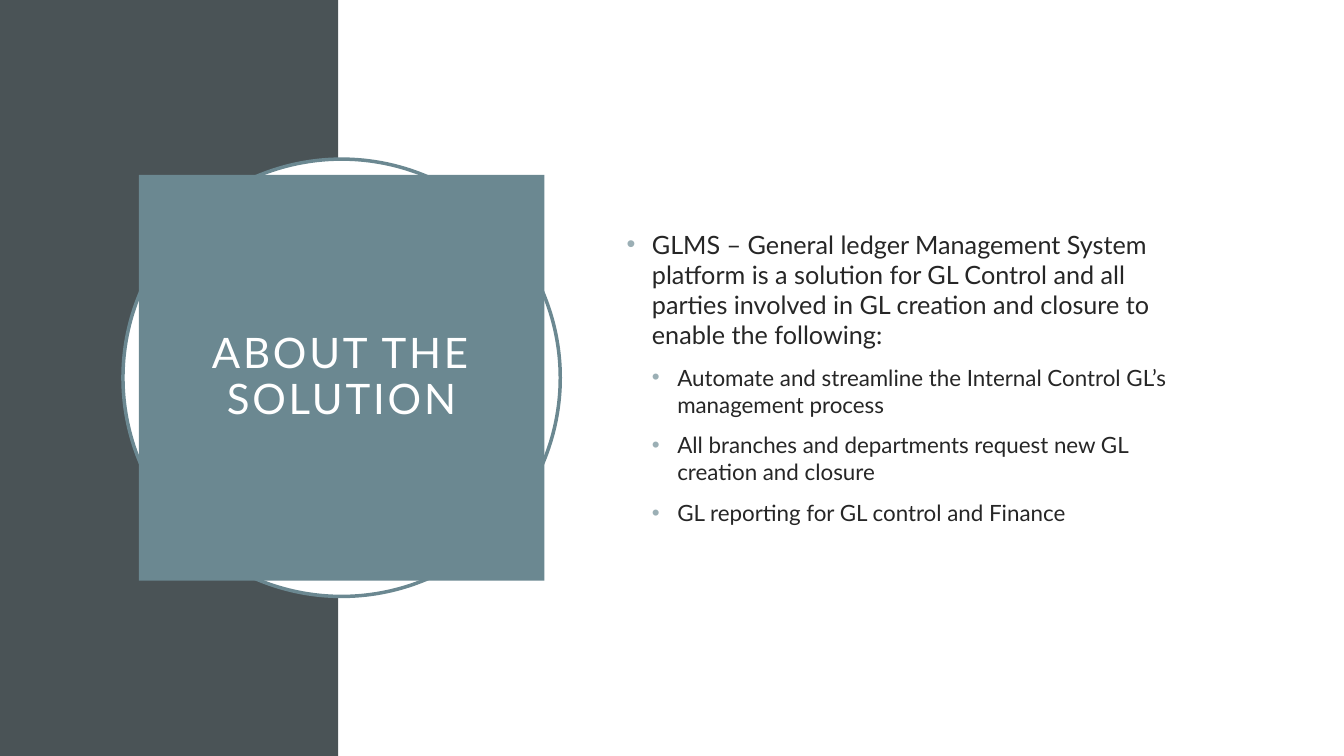
from lxml import etree
from pptx import Presentation
from pptx.dml.color import RGBColor
from pptx.enum.shapes import MSO_SHAPE
from pptx.enum.text import MSO_ANCHOR, PP_ALIGN
from pptx.oxml.ns import qn
from pptx.util import Cm, Pt

RECT, OVAL = MSO_SHAPE.RECTANGLE, MSO_SHAPE.OVAL
MIDDLE, CENTER = MSO_ANCHOR.MIDDLE, PP_ALIGN.CENTER

COLORS = {
    "panel": "4A5356",
    "accent": "6B8891",
    "bullet": "9BAFB5",
    "text": "262626",
    "white": "FFFFFF",
}
FONT = "Lato"
SLIDE_W, SLIDE_H = 33.87, 19.05
PANEL_W = 8.53
BADGE_BOX = (3.1, 4.01, 11.02, 11.02)
BODY_BOX = (15.54, 3.89, 14.78, 11.25)
BULLET_INDENT = 0.64
LEVEL_SIZES = (18, 16)

TITLE = "ABOUT THE SOLUTION"
BULLETS = [
    (0, "GLMS – General ledger Management System platform is a solution for "
        "GL Control and all parties involved in GL creation and closure to "
        "enable the following:"),
    (1, "Automate and streamline the Internal Control GL’s management process"),
    (1, "All branches and departments request new GL creation and closure"),
    (1, "GL reporting for GL control and Finance"),
]


def rgb(name):
    return RGBColor.from_string(COLORS[name])


def set_attrs(obj, values):
    for name, value in values.items():
        setattr(obj, name, value)


def add_run(p, text, size, color):
    r = p.add_run()
    r.text = text
    set_attrs(r.font, {"name": FONT, "size": Pt(size)})
    r.font.color.rgb = rgb(color)
    return r


def add_filled(slide, kind, box, fill, line=None):
    sp = slide.shapes.add_shape(kind, *map(Cm, box))
    sp.shadow.inherit = False
    sp.fill.solid()
    sp.fill.fore_color.rgb = rgb(fill)
    if line:
        sp.line.color.rgb = rgb(line)
        sp.line.width = Pt(2.5)
    else:
        sp.line.fill.background()
    return sp


def add_bullet(p, level):
    """Give the paragraph a hanging indent and a coloured bullet."""
    pPr = p._p.get_or_add_pPr()
    pPr.set("marL", str(Cm(BULLET_INDENT * (level + 1))))
    pPr.set("indent", str(-Cm(BULLET_INDENT)))
    color = etree.SubElement(pPr, qn("a:buClr"))
    etree.SubElement(color, qn("a:srgbClr"), val=COLORS["bullet"])
    etree.SubElement(pPr, qn("a:buFont"), typeface="Arial")
    etree.SubElement(pPr, qn("a:buChar"), char="•")


def add_background(slide, box):
    x, y, w, h = box
    add_filled(slide, RECT, (x, y, PANEL_W, h), "panel")
    add_filled(slide, RECT, (x + PANEL_W, y, w - PANEL_W, h), "white")


def add_title_badge(slide, box):
    """Place a ringed circle and the title square centred on it."""
    x, y, w, h = box
    add_filled(slide, OVAL, box, "white", line="accent")
    inset = 0.4
    square = (x + inset, y + inset, w - 2 * inset, h - 2 * inset)
    tf = add_filled(slide, RECT, square, "accent").text_frame
    set_attrs(tf, {"word_wrap": True, "vertical_anchor": MIDDLE})
    margins = ("margin_left", "margin_top", "margin_right", "margin_bottom")
    set_attrs(tf, dict.fromkeys(margins, Cm(0.5)))
    p = tf.paragraphs[0]
    set_attrs(p, {"alignment": CENTER, "line_spacing": 0.9})
    r = add_run(p, TITLE, 30, "white")
    r.font._element.set("spc", "200")


def add_body(slide, box):
    tf = slide.shapes.add_textbox(*map(Cm, box)).text_frame
    set_attrs(tf, {"word_wrap": True, "vertical_anchor": MIDDLE})
    for i, (level, text) in enumerate(BULLETS):
        p = tf.add_paragraph() if i else tf.paragraphs[0]
        set_attrs(p, {"level": level, "space_before": Pt(10), "line_spacing": 1.0})
        add_bullet(p, level)
        add_run(p, text, LEVEL_SIZES[level], "text")


def main():
    prs = Presentation()
    set_attrs(prs, {"slide_width": Cm(SLIDE_W), "slide_height": Cm(SLIDE_H)})
    slide = prs.slides.add_slide(prs.slide_layouts[6])
    add_background(slide, (0, 0, SLIDE_W, SLIDE_H))
    add_title_badge(slide, BADGE_BOX)
    add_body(slide, BODY_BOX)
    prs.save("out.pptx")


if __name__ == "__main__":
    main()
